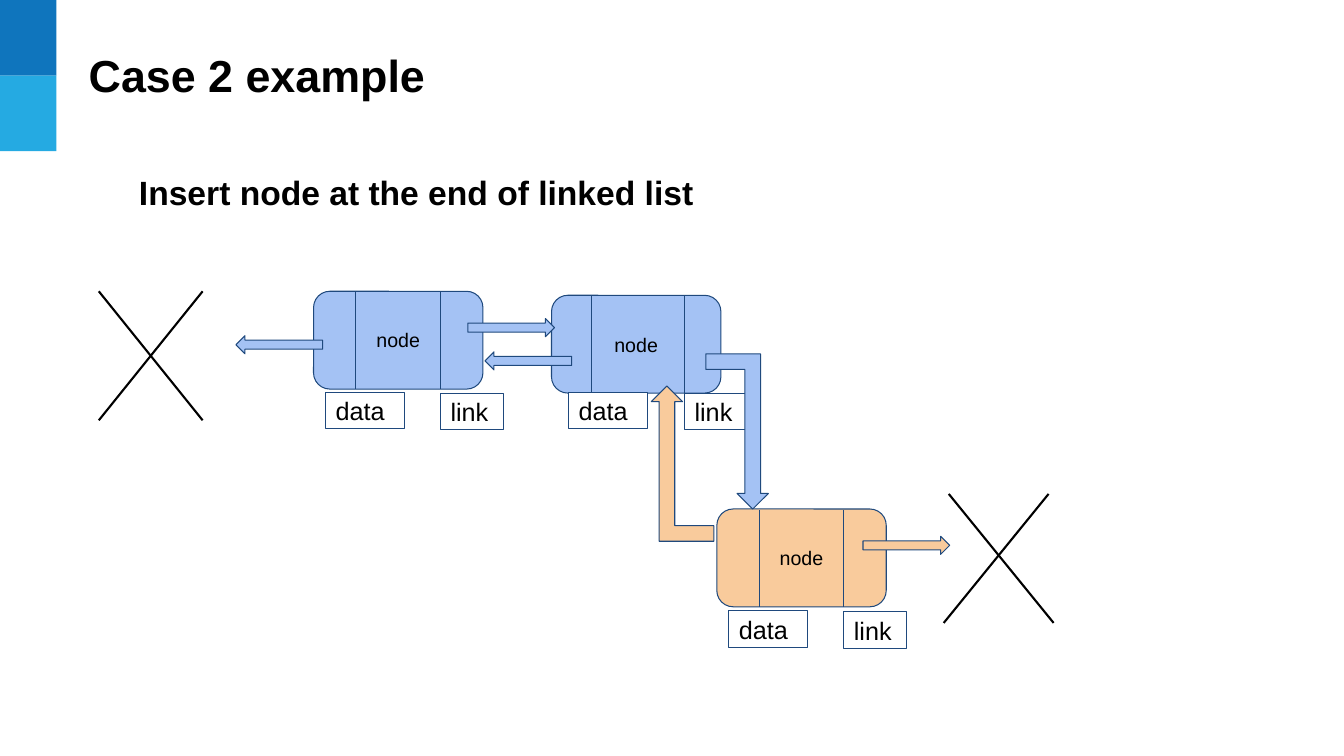
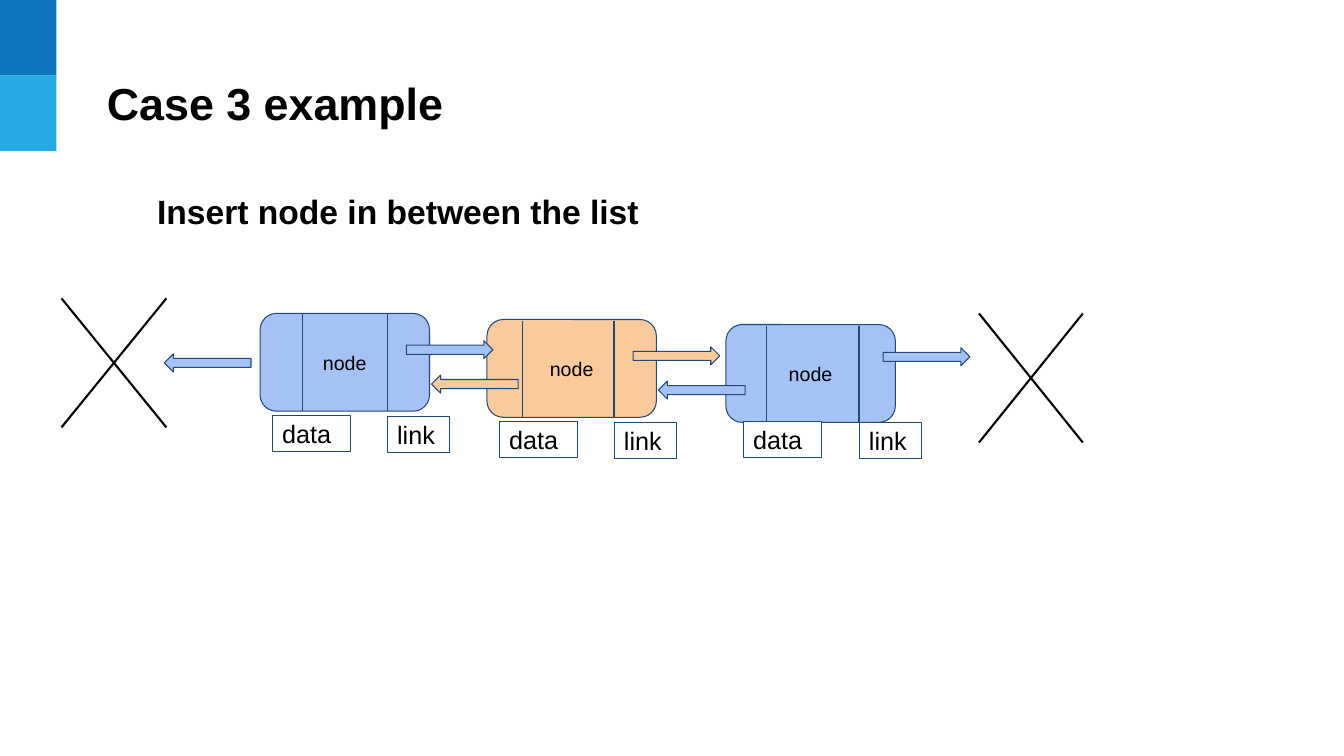
"""Build two slides on inserting a node into a doubly linked list."""
import pptx
import pptx.util
import pptx.dml.color
import pptx.enum.shapes
import pptx.enum.text
import pptx.oxml

Inches = pptx.util.Inches
Pt = pptx.util.Pt
RGB = pptx.dml.color.RGBColor.from_string
KIND = pptx.enum.shapes.MSO_SHAPE
ALIGN = pptx.enum.text.PP_ALIGN
ANCHOR = pptx.enum.text.MSO_ANCHOR
FIT = pptx.enum.text.MSO_AUTO_SIZE

HUES = {
    "dark": "0F75BD",
    "light": "25AAE2",
    "blue": "A4C2F4",
    "orange": "F9CB9C",
    "edge": "1F497D",
    "white": "FFFFFF",
    "black": "000000",
}
FONT = "Arial"
NODE_W, NODE_H = 1.68, 0.97
ARROW_W, ARROW_H = 0.86, 0.18
BENT_W, BENT_H = 0.62, 1.54
CROSS_H = 1.28

PAGES = [
    {
        "title": "Case 2 example",
        "head": "Insert node at the end of linked list",
        "left": 0.78,
        "top": 0.29,
        "nodes": [
            (5.47, 2.93, "blue", 0.4, 1.32, 0.17, 0.96),
            (3.11, 2.89, "blue", 0.42, 1.26, 0.12, 1),
            (7.11, 5.05, "orange", 0.42, 1.26, 0.12, 1.01),
        ],
        "arrows": [
            (2.34, 3.33, "blue", True),
            (4.64, 3.16, "blue", False),
            (4.81, 3.49, "blue", True),
            (8.56, 5.32, "orange", False),
        ],
        "bends": [(6.46, 3.83, "orange", 0), (7, 3.51, "blue", 180)],
        "crosses": [
            (2.89, (0.98, 2.01), (0.98, 2.01)),
            (4.9, (9.41, 10.45), (9.36, 10.4)),
        ],
    },
    {
        "title": "Case 3 example",
        "head": "Insert node in between the list",
        "left": 0.96,
        "top": 0.57,
        "nodes": [
            (7.2, 3.22, "blue", 0.4, 1.32, 0.17, 0.96),
            (4.83, 3.17, "orange", 0.35, 1.26, 0.12, 1.01),
            (2.58, 3.11, "blue", 0.42, 1.26, 0.12, 1.01),
        ],
        "arrows": [
            (1.63, 3.51, "blue", True),
            (4.03, 3.38, "blue", False),
            (4.28, 3.72, "orange", True),
            (6.28, 3.44, "orange", False),
            (6.53, 3.78, "blue", True),
            (8.76, 3.45, "blue", False),
        ],
        "bends": [],
        "crosses": [
            (2.96, (0.61, 1.65), (0.61, 1.65)),
            (3.11, (9.71, 10.74), (9.71, 10.74)),
        ],
    },
]


def block(slide, kind, box, fill, text="", size=18, align=ALIGN.LEFT):
    """Add an outlined shape, with text if any, and return it."""
    shape = slide.shapes.add_shape(kind, *map(Inches, box))
    shape.shadow.inherit = False
    shape.fill.solid()
    shape.fill.fore_color.rgb = RGB(HUES[fill])
    shape.line.color.rgb = RGB(HUES["edge"])
    shape.line.width = Pt(0.75)
    if text:
        frame = shape.text_frame
        frame.word_wrap = True
        frame.vertical_anchor = ANCHOR.MIDDLE
        frame.margin_left = frame.margin_right = Inches(0.1)
        frame.margin_top = frame.margin_bottom = Inches(0.1)
        frame.paragraphs[0].alignment = align
        run = frame.paragraphs[0].add_run()
        run.text = text
        run.font.name = FONT
        run.font.size = Pt(size)
        run.font.color.rgb = RGB(HUES["black"])
    return shape


def stroke(slide, ends, hue, width):
    """Add a straight line between two points."""
    line = slide.shapes.add_connector(
        pptx.enum.shapes.MSO_CONNECTOR.STRAIGHT, *map(Inches, ends))
    line.line.color.rgb = RGB(HUES[hue])
    line.line.width = Pt(width)
    line.element.spPr.append(pptx.oxml.parse_xml(
        '<a:effectLst xmlns:a='
        '"http://schemas.openxmlformats.org/drawingml/2006/main"/>'))


deck = pptx.Presentation()
deck.slide_width = Inches(13.33)
deck.slide_height = Inches(7.5)
layout = deck.slide_layouts[5]

for index, page in enumerate(PAGES):
    slide = deck.slides.add_slide(layout)

    if index == 0:
        for row, hue in enumerate(["dark", "light"]):
            band = block(slide, KIND.RECTANGLE, (0, row * 0.75, 0.56, 0.75), hue)
            band.line.fill.background()
            deck.slide_master.shapes.element.append(band.element)

    title = slide.shapes.title
    title.left, title.top = Inches(page["left"]), Inches(page["top"])
    title.width, title.height = Inches(8.75), Inches(0.9)
    title.text_frame.vertical_anchor = ANCHOR.MIDDLE
    title.text_frame.auto_size = FIT.NONE

    head = slide.shapes.add_textbox(
        Inches(page["left"]), Inches(page["top"] + 1.32 - 0.1 * index),
        Inches(10.15), Inches(0.61))
    frame = head.text_frame
    frame.word_wrap = True
    frame.auto_size = FIT.SHAPE_TO_FIT_TEXT
    frame.margin_top = frame.margin_bottom = Inches(0.1)
    frame.paragraphs[0]._p.get_or_add_pPr().set("marL", str(Inches(0.5)))

    for shape, key, size in [(title, "title", 32), (head, "head", 24)]:
        para = shape.text_frame.paragraphs[0]
        para.alignment = ALIGN.LEFT
        run = para.add_run()
        run.text = page[key]
        run.font.name = FONT
        run.font.size = Pt(size)
        run.font.bold = True
        run.font.color.rgb = RGB(HUES["black"])

    for x, y, fill, left, right, data, drop in page["nodes"]:
        block(slide, KIND.ROUNDED_RECTANGLE, (x, y, NODE_W, NODE_H), fill,
              "node", 14, ALIGN.CENTER)
        for side in (left, right):
            stroke(slide, (x + side, y + 0.01, x + side, y + NODE_H),
                   "edge", 0.75)
        block(slide, KIND.RECTANGLE, (x + right, y + drop + 0.01, 0.62, 0.36),
              "white", "link")
        block(slide, KIND.RECTANGLE, (x + data, y + drop, 0.78, 0.36),
              "white", "data")

    for x, y, fill, back in page["arrows"]:
        kind = KIND.LEFT_ARROW if back else KIND.RIGHT_ARROW
        block(slide, kind, (x, y, ARROW_W, ARROW_H), fill)

    for x, y, fill, turn in page["bends"]:
        bend = block(slide, KIND.BENT_UP_ARROW, (x, y, BENT_W, BENT_H), fill)
        bend.rotation = turn
        bend.element.spPr.get_or_add_xfrm().set("flipH", "1")

    for top, fall, climb in page["crosses"]:
        stroke(slide, (fall[0], top, fall[1], top + CROSS_H), "black", 1.5)
        stroke(slide, (climb[0], top + CROSS_H, climb[1], top), "black", 1.5)

deck.save("out.pptx")
